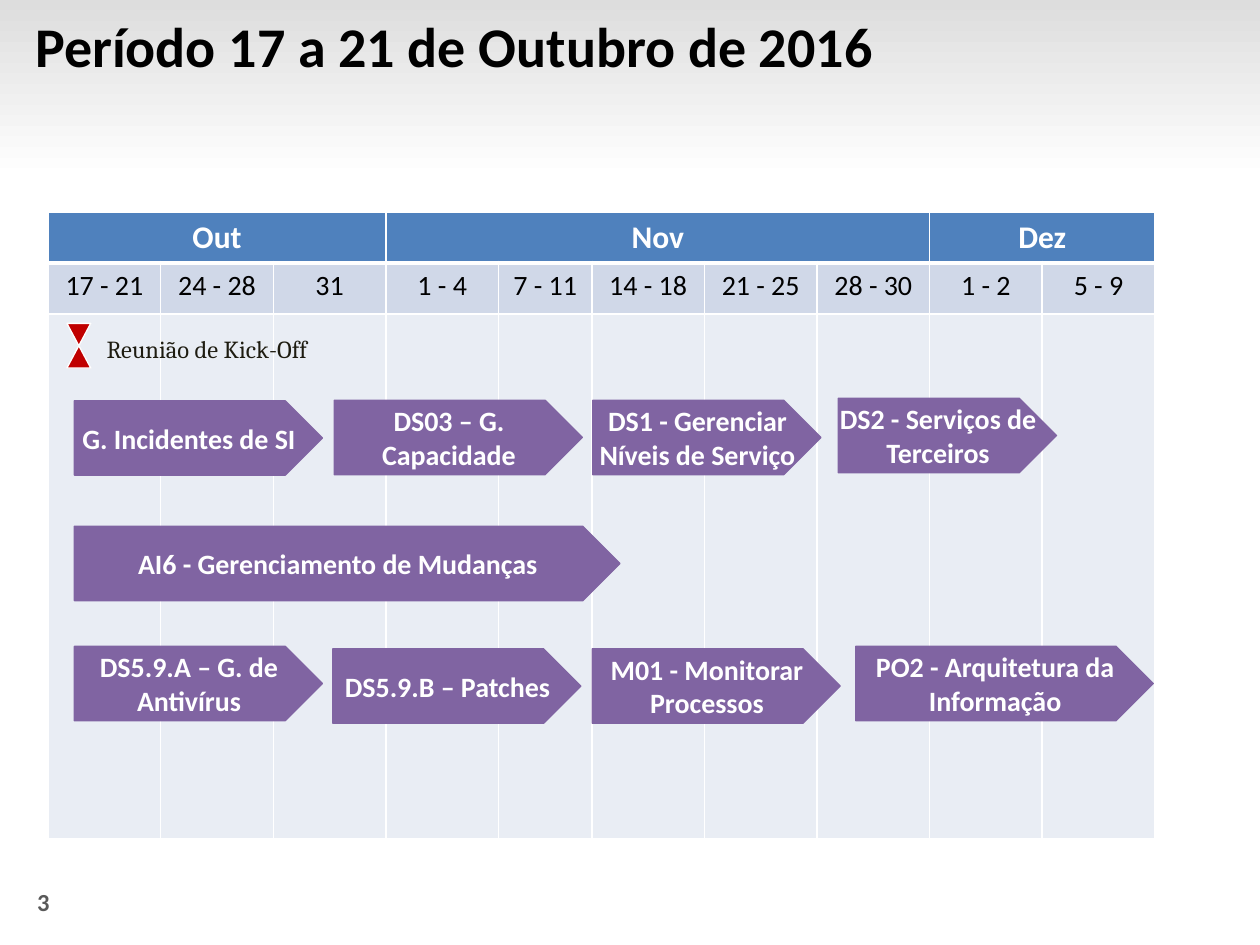
"""Build a project schedule slide with a month table and activity arrows."""
from dataclasses import dataclass

from lxml import etree
from pptx import Presentation
from pptx.dml.color import RGBColor
from pptx.enum.shapes import MSO_SHAPE
from pptx.enum.text import MSO_ANCHOR, PP_ALIGN
from pptx.oxml.ns import qn
from pptx.util import Cm, Pt

RECT = MSO_SHAPE.RECTANGLE
PENTAGON = MSO_SHAPE.PENTAGON
COLLATE = MSO_SHAPE.FLOWCHART_COLLATE
TOP, MIDDLE = MSO_ANCHOR.TOP, MSO_ANCHOR.MIDDLE
LEFT, CENTER = PP_ALIGN.LEFT, PP_ALIGN.CENTER


@dataclass(frozen=True)
class Theme:
    font: str = "Calibri"
    note_font: str = "Cambria"
    white: str = "FFFFFF"
    black: str = "000000"
    band: str = "DDDDDD"
    number: str = "595959"
    note: str = "1E1C11"
    header: str = "4F81BD"
    week: str = "D0D8E8"
    body: str = "E9EDF4"
    activity: str = "8064A2"
    milestone: str = "C00000"
    title_size: int = 32
    header_size: int = 18
    label_size: int = 16
    small_size: int = 14
    outline: float = 0.75


@dataclass(frozen=True)
class Box:
    left: float
    top: float
    width: float
    height: float

    def lengths(self) -> tuple:
        return Cm(self.left), Cm(self.top), Cm(self.width), Cm(self.height)


@dataclass(frozen=True)
class Month:
    name: str
    weeks: tuple


@dataclass(frozen=True)
class Activity:
    text: str
    left: float
    top: float
    width: float = 5.0


THEME = Theme()
MONTHS = (
    Month("Out", ("17 - 21", "24 - 28", "31")),
    Month("Nov", ("1 - 4", "7 - 11", "14 - 18", "21 - 25", "28 - 30")),
    Month("Dez", ("1 - 2", "5 - 9")),
)
WEEKS = [week for month in MONTHS for week in month.weeks]
WEEK_WIDTH, NARROW_WIDTH, NARROW_WEEK = 2.27, 1.88, "7 - 11"
ROW_HEIGHTS = (1.03, 1.03, 10.57)
ACTIVITY_HEIGHT = 1.5
ACTIVITIES = (
    Activity("DS5.9.B – Patches", 6.71, 13.08),
    Activity("DS5.9.A – G. de Antivírus", 1.5, 13.03),
    Activity("G. Incidentes de SI", 1.5, 8.08),
    Activity("DS1 - Gerenciar Níveis de Serviço", 11.95, 8.07, 4.6),
    Activity("DS03 – G. Capacidade", 6.74, 8.07),
    Activity("M01 - Monitorar Processos", 11.94, 13.08),
    Activity("AI6 - Gerenciamento de Mudanças", 1.5, 10.61, 11),
    Activity("DS2 - Serviços de Terceiros", 16.9, 8.03, 4.4),
    Activity("PO2 - Arquitetura da Informação", 17.25, 13.03, 6),
)


def rgb(color: str) -> RGBColor:
    return RGBColor.from_string(color)


def write(tf, text: str, size: int, color: str, font: str = THEME.font,
          bold: bool = True, align=LEFT) -> None:
    p = tf.paragraphs[0]
    p.text = text
    p.alignment = align
    p.font.name = font
    p.font.size = Pt(size)
    p.font.bold = bold
    p.font.color.rgb = rgb(color)


def add_text(s, box: Box, text: str, size: int, color: str,
             font: str = THEME.font, bold: bool = True, anchor=TOP):
    tf = s.shapes.add_textbox(*box.lengths()).text_frame
    tf.word_wrap = True
    tf.vertical_anchor = anchor
    write(tf, text, size, color, font, bold)
    return tf


def add_shape(s, kind, box: Box, fill: str, line: str):
    sp = s.shapes.add_shape(kind, *box.lengths())
    sp.shadow.inherit = False
    sp.fill.solid()
    sp.fill.fore_color.rgb = rgb(fill)
    sp.line.color.rgb = rgb(line)
    sp.line.width = Pt(THEME.outline)
    return sp


def add_band(s) -> None:
    sp = s.shapes.add_shape(RECT, *Box(0, 0, 25.4, 3.6).lengths())
    sp.shadow.inherit = False
    sp.line.fill.background()
    sp.fill.gradient()
    sp.fill.gradient_angle = 270
    for stop, color in zip(sp.fill.gradient_stops, (THEME.band, THEME.white)):
        stop.color.rgb = rgb(color)


def style_cell(cell, fill: str, top: int = 1, bottom: int = 1) -> None:
    tc_pr = cell._tc.get_or_add_tcPr()
    for side, width in (("L", 1), ("R", 1), ("T", top), ("B", bottom)):
        ln = etree.SubElement(tc_pr, qn(f"a:ln{side}"), w=str(Pt(width)))
        solid = etree.SubElement(ln, qn("a:solidFill"))
        etree.SubElement(solid, qn("a:srgbClr"), val=THEME.white)
    cell.fill.solid()
    cell.fill.fore_color.rgb = rgb(fill)


def add_calendar(s) -> None:
    widths = [NARROW_WIDTH if w == NARROW_WEEK else WEEK_WIDTH for w in WEEKS]
    box = Box(0.97, 4.27, sum(widths), sum(ROW_HEIGHTS))
    table = s.shapes.add_table(len(ROW_HEIGHTS), len(WEEKS), *box.lengths()).table
    table.first_row = table.horz_banding = False
    for row, height in zip(table.rows, ROW_HEIGHTS):
        row.height = Cm(height)
    for i, (week, width) in enumerate(zip(WEEKS, widths)):
        table.columns[i].width = Cm(width)
        style_cell(table.cell(0, i), THEME.header, bottom=3)
        style_cell(table.cell(1, i), THEME.week, top=3)
        style_cell(table.cell(2, i), THEME.body)
        write(table.cell(1, i).text_frame, week, THEME.label_size,
              THEME.black, bold=False, align=CENTER)
    start = 0
    for month in MONTHS:
        cell = table.cell(0, start)
        start += len(month.weeks)
        cell.merge(table.cell(0, start - 1))
        write(cell.text_frame, month.name, THEME.header_size,
              THEME.white, align=CENTER)


def add_activity(s, activity: Activity) -> None:
    box = Box(activity.left, activity.top, activity.width, ACTIVITY_HEIGHT)
    sp = add_shape(s, PENTAGON, box, THEME.activity, THEME.activity)
    tf = sp.text_frame
    tf.word_wrap = True
    tf.vertical_anchor = MIDDLE
    tf.margin_left = tf.margin_right = tf.margin_top = tf.margin_bottom = 0
    write(tf, activity.text, THEME.label_size, THEME.white, align=CENTER)


def main() -> None:
    prs = Presentation()
    prs.slide_width, prs.slide_height = Cm(25.4), Cm(19.05)
    s = prs.slides.add_slide(prs.slide_layouts[6])
    add_band(s)
    add_text(s, Box(0.5, 17.75, 2, 0.86), "3", THEME.small_size, THEME.number)
    title = add_text(s, Box(-0.05, 0, 22.43, 1.8),
                     "Período 17 a 21 de Outubro de 2016",
                     THEME.title_size, THEME.black, anchor=MIDDLE)
    title.margin_left = Cm(0.76)
    add_calendar(s)
    add_text(s, Box(1.9, 6.6, 6.3, 0.86), "Reunião de Kick-Off",
             THEME.small_size, THEME.note, THEME.note_font, bold=False)
    add_shape(s, COLLATE, Box(1.35, 6.52, 0.48, 0.9), THEME.milestone, THEME.white)
    for activity in ACTIVITIES:
        add_activity(s, activity)
    prs.save("out.pptx")


if __name__ == "__main__":
    main()
